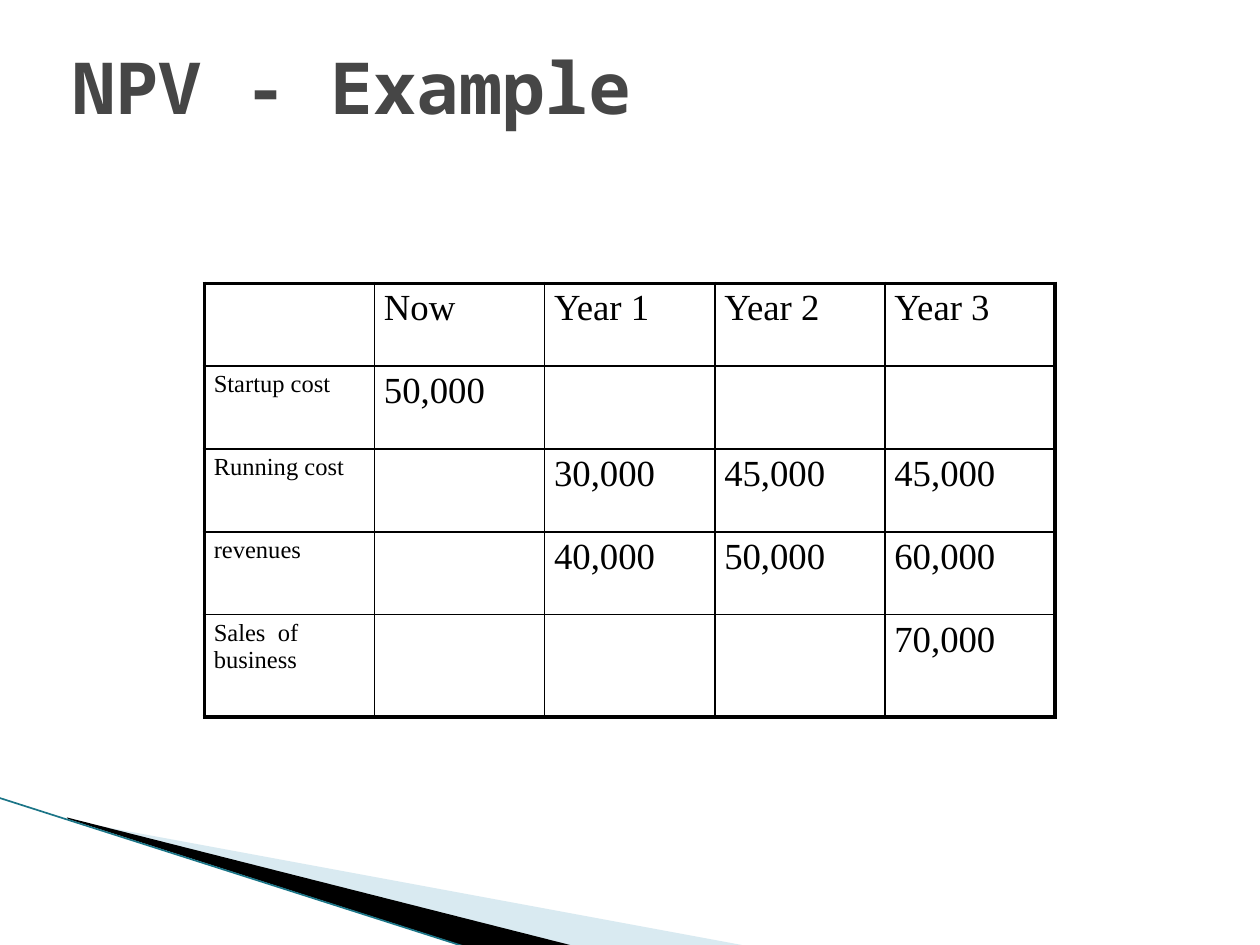
from lxml import etree
from pptx import Presentation
from pptx.dml.color import RGBColor
from pptx.enum.shapes import MSO_CONNECTOR
from pptx.enum.text import MSO_ANCHOR, PP_ALIGN
from pptx.oxml import parse_xml
from pptx.oxml.ns import nsdecls, qn
from pptx.util import Cm, Pt

BLACK = RGBColor(0x00, 0x00, 0x00)
GREY = RGBColor(0x46, 0x46, 0x46)
PALE_BLUE = RGBColor(0xA0, 0xCB, 0xDC)
TEAL = RGBColor(0x1B, 0x75, 0x87)
TITLE_FONT = "Noto Sans Mono"
TABLE_FONT = "Times New Roman"
THICK, THIN = Pt(2.25), Pt(1)
ROWS = [
    ["", "Now", "Year 1", "Year 2", "Year 3"],
    ["Startup cost", "50,000", "", "", ""],
    ["Running cost", "", "30,000", "45,000", "45,000"],
    ["revenues", "", "40,000", "50,000", "60,000"],
    ["Sales  of business", "", "", "", "70,000"],
]


def add_wedge(shapes, points, frame, color):
    corners = [(Cm(x), Cm(y)) for x, y in points]
    builder = shapes.build_freeform(*corners[0])
    builder.add_line_segments(corners[1:], close=True)
    wedge = builder.convert_to_shape()
    left, top, width, height = (Cm(value) for value in frame)
    outline = wedge._element.spPr.find(".//" + qn("a:path"))
    outline.set("w", str(int(width)))
    outline.set("h", str(int(height)))
    for point in outline.iter(qn("a:pt")):
        point.set("x", str(int(point.get("x")) + wedge.left - left))
        point.set("y", str(int(point.get("y")) + wedge.top - top))
    wedge.left, wedge.top, wedge.width, wedge.height = left, top, width, height
    wedge.shadow.inherit = False
    wedge.fill.solid()
    wedge.fill.fore_color.rgb = color
    wedge.line.fill.background()
    return wedge


def set_border(cell, side, width):
    border = parse_xml(
        f'<a:{side} {nsdecls("a")} w="{int(width)}"><a:solidFill>'
        f'<a:srgbClr val="{BLACK}"/></a:solidFill></a:{side}>'
    )
    cell._tc.get_or_add_tcPr().append(border)


deck = Presentation()
deck.slide_width, deck.slide_height = Cm(25.4), Cm(19.05)
page = deck.slides.add_slide(deck.slide_layouts[5])

pale_wedge = add_wedge(
    page.shapes,
    [(1.4, 16.54), (15.11, 19.08), (11.58, 19.08), (1.4, 16.51)],
    (1.98, 13.89, 10.57, 4.01),
    PALE_BLUE,
)
pale_color = pale_wedge.fill._xPr.find(qn("a:solidFill"))[0]
etree.SubElement(pale_color, qn("a:alpha"), val="40000")
add_wedge(
    page.shapes,
    [(1.35, 16.48), (11.61, 19.08), (9.45, 19.1), (1.37, 16.51)],
    (-0.15, 16.08, 10.57, 2.34),
    BLACK,
)

edge = page.shapes.add_connector(
    MSO_CONNECTOR.STRAIGHT, Cm(-0.03), Cm(16.08), Cm(9.42), Cm(19.1)
)
edge.line.color.rgb = TEAL
edge.line.width = Pt(0.95)
etree.SubElement(edge._element.spPr, qn("a:effectLst"))

title = page.shapes.title
title.left, title.top, title.width, title.height = Cm(1.27), Cm(0.76), Cm(22.86), Cm(3.18)
frame = title.text_frame
frame.text = "NPV - Example"
frame.vertical_anchor = MSO_ANCHOR.TOP
frame.margin_left = frame.margin_right = Cm(0.19)
frame.margin_top = frame.margin_bottom = Cm(0.1)
para = frame.paragraphs[0]
para.alignment = PP_ALIGN.LEFT
para.font.name = TITLE_FONT
para.font.size = Pt(41)
para.font.bold = True
para.font.color.rgb = GREY

last = len(ROWS) - 1
table = page.shapes.add_table(
    len(ROWS), len(ROWS[0]), Cm(4.12), Cm(5.71), Cm(17.15), Cm(8.74)
).table
table.first_row = table.horz_banding = False
for column in table.columns:
    column.width = Cm(3.43)
for r, texts in enumerate(ROWS):
    table.rows[r].height = Cm(2.06 if r == last else 1.67)
    for c, text in enumerate(texts):
        cell = table.cell(r, c)
        cell.margin_left = cell.margin_right = Cm(0.19)
        cell.margin_top = cell.margin_bottom = Cm(0.1)
        set_border(cell, "lnL", THICK if c == 0 else THIN)
        set_border(cell, "lnR", THICK if c == last else THIN)
        set_border(cell, "lnT", THICK if r == 0 else THIN)
        set_border(cell, "lnB", THICK if r == last else THIN)
        cell.fill.background()
        cell.text = text
        para = cell.text_frame.paragraphs[0]
        para.font.name = TABLE_FONT
        para.font.size = Pt(14 if c == 0 else 21)
        para.font.color.rgb = BLACK

deck.save("out.pptx")
